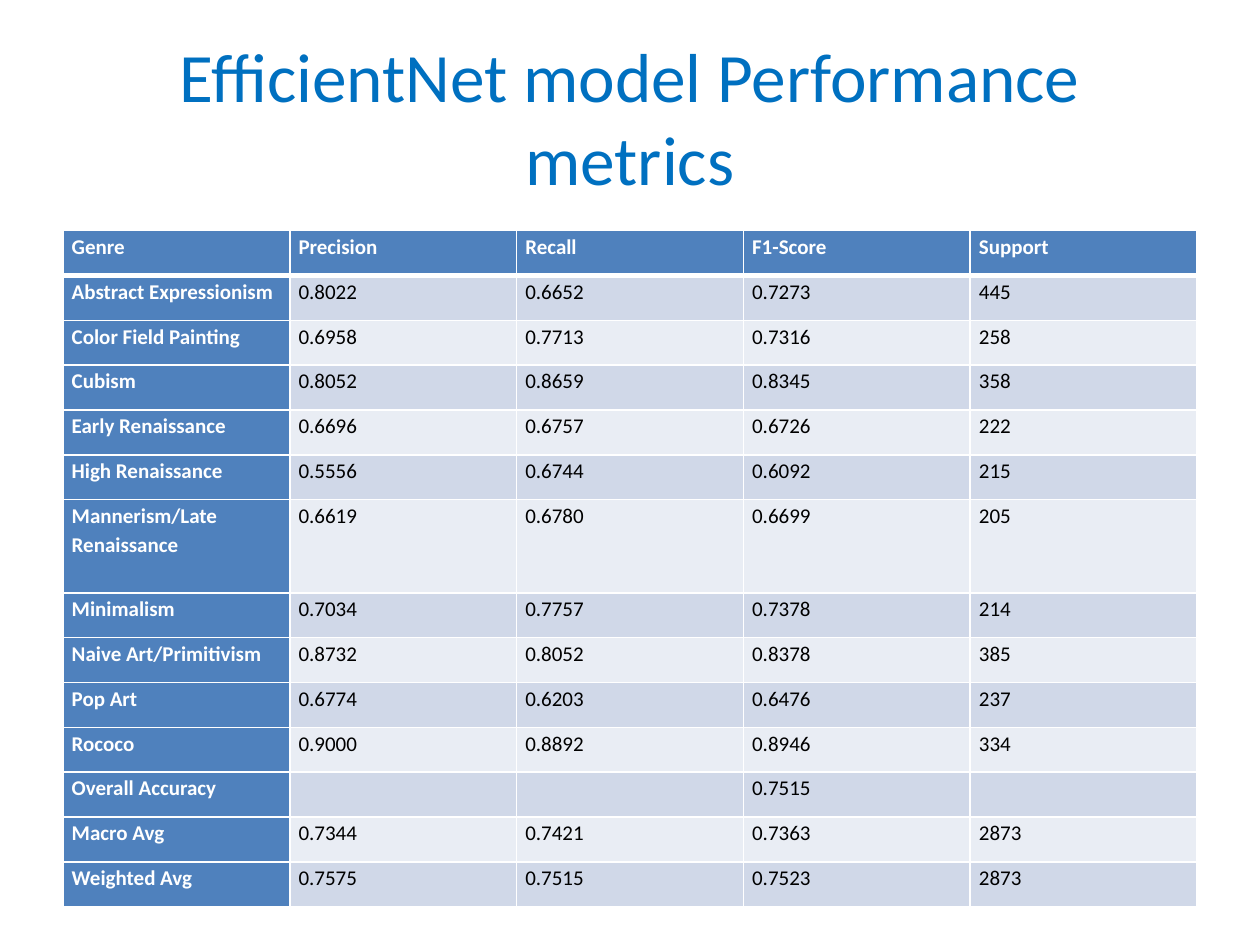
from dataclasses import dataclass

from lxml.etree import SubElement
from pptx import Presentation
from pptx.dml.color import RGBColor as Color
from pptx.enum.text import MSO_ANCHOR as Anchor, PP_ALIGN as Align
from pptx.oxml.ns import qn
from pptx.util import Pt


@dataclass(frozen=True)
class Theme:
    font: str = "Calibri"
    title_size: float = 39.6
    cell_size: float = 12
    title: str = "0070C0"
    header: str = "4F81BD"
    bands: tuple = ("D0D8E8", "E9EDF4")
    light: str = "FFFFFF"
    dark: str = "000000"


@dataclass(frozen=True)
class Frame:
    left: float
    top: float
    width: float
    height: float

    def lengths(self) -> list:
        return [Pt(value) for value in (self.left, self.top, self.width, self.height)]


@dataclass(frozen=True)
class CellStyle:
    fill: str
    color: str
    bold: bool
    top: float = 1
    bottom: float = 1


THEME = Theme()
TITLE_FRAME = Frame(36, 21.6, 648, 90)
TABLE_FRAME = Frame(36, 131.76, 648, 386.6)
ROW_HEIGHT, TALL_ROW_HEIGHT = 25.64, 53.28
TALL_GENRE = "Mannerism/Late Renaissance"
HEADER_LINE = 3

METRICS = [
    ("Genre", "Precision", "Recall", "F1-Score", "Support"),
    ("Abstract Expressionism", "0.8022", "0.6652", "0.7273", "445"),
    ("Color Field Painting", "0.6958", "0.7713", "0.7316", "258"),
    ("Cubism", "0.8052", "0.8659", "0.8345", "358"),
    ("Early Renaissance", "0.6696", "0.6757", "0.6726", "222"),
    ("High Renaissance", "0.5556", "0.6744", "0.6092", "215"),
    (TALL_GENRE, "0.6619", "0.6780", "0.6699", "205"),
    ("Minimalism", "0.7034", "0.7757", "0.7378", "214"),
    ("Naive Art/Primitivism", "0.8732", "0.8052", "0.8378", "385"),
    ("Pop Art", "0.6774", "0.6203", "0.6476", "237"),
    ("Rococo", "0.9000", "0.8892", "0.8946", "334"),
    ("Overall Accuracy", "", "", "0.7515", ""),
    ("Macro Avg", "0.7344", "0.7421", "0.7363", "2873"),
    ("Weighted Avg", "0.7575", "0.7515", "0.7523", "2873"),
]


def apply(target, values: dict) -> None:
    for name, value in values.items():
        setattr(target, name, value)


def write(para, text: str, size: float, color: str, bold: bool = False) -> None:
    span = para.add_run()
    span.text = text
    apply(span.font, {"name": THEME.font, "size": Pt(size), "bold": bold})
    span.font.color.rgb = Color.from_string(color)


def add_title(page, text: str) -> None:
    box = page.shapes.add_textbox(*TITLE_FRAME.lengths())
    apply(box.text_frame, {"word_wrap": True, "vertical_anchor": Anchor.MIDDLE})
    para = box.text_frame.paragraphs[0]
    para.alignment = Align.CENTER
    write(para, text, THEME.title_size, THEME.title)


def add_borders(cell, style: CellStyle) -> None:
    properties = cell._tc.get_or_add_tcPr()
    for side, width in {"L": 1, "R": 1, "T": style.top, "B": style.bottom}.items():
        line = SubElement(properties, qn(f"a:ln{side}"), w=str(Pt(width)))
        fill = SubElement(line, qn("a:solidFill"))
        SubElement(fill, qn("a:srgbClr"), val=THEME.light)


def style_for(row: int, column: int) -> CellStyle:
    top = HEADER_LINE if row == 1 else 1
    if row == 0:
        return CellStyle(THEME.header, THEME.light, True, bottom=HEADER_LINE)
    if column == 0:
        return CellStyle(THEME.header, THEME.light, True, top)
    return CellStyle(THEME.bands[(row - 1) % 2], THEME.dark, False, top)


def fill_cell(cell, text: str, style: CellStyle) -> None:
    apply(cell, {
        "margin_left": Pt(5), "margin_right": Pt(5),
        "margin_top": Pt(0), "margin_bottom": Pt(0),
    })
    add_borders(cell, style)
    cell.fill.solid()
    cell.fill.fore_color.rgb = Color.from_string(style.fill)
    if text:
        para = cell.text_frame.paragraphs[0]
        apply(para, {
            "alignment": Align.JUSTIFY, "line_spacing": 1.15, "space_after": Pt(10),
        })
        write(para, text, THEME.cell_size, style.color, style.bold)


def add_metrics(page) -> None:
    columns = len(METRICS[0])
    table = page.shapes.add_table(len(METRICS), columns, *TABLE_FRAME.lengths()).table
    apply(table, {"first_row": True, "first_col": True, "horz_banding": True})
    for column in table.columns:
        column.width = Pt(TABLE_FRAME.width / columns)
    for row, values in enumerate(METRICS):
        tall = values[0] == TALL_GENRE
        table.rows[row].height = Pt(TALL_ROW_HEIGHT if tall else ROW_HEIGHT)
        for column, text in enumerate(values):
            fill_cell(table.cell(row, column), text, style_for(row, column))


def main() -> None:
    deck = Presentation()
    apply(deck, {"slide_width": Pt(720), "slide_height": Pt(540)})
    page = deck.slides.add_slide(deck.slide_layouts[6])
    add_title(page, "EfficientNet model Performance metrics")
    add_metrics(page)
    deck.save("out.pptx")


if __name__ == "__main__":
    main()
